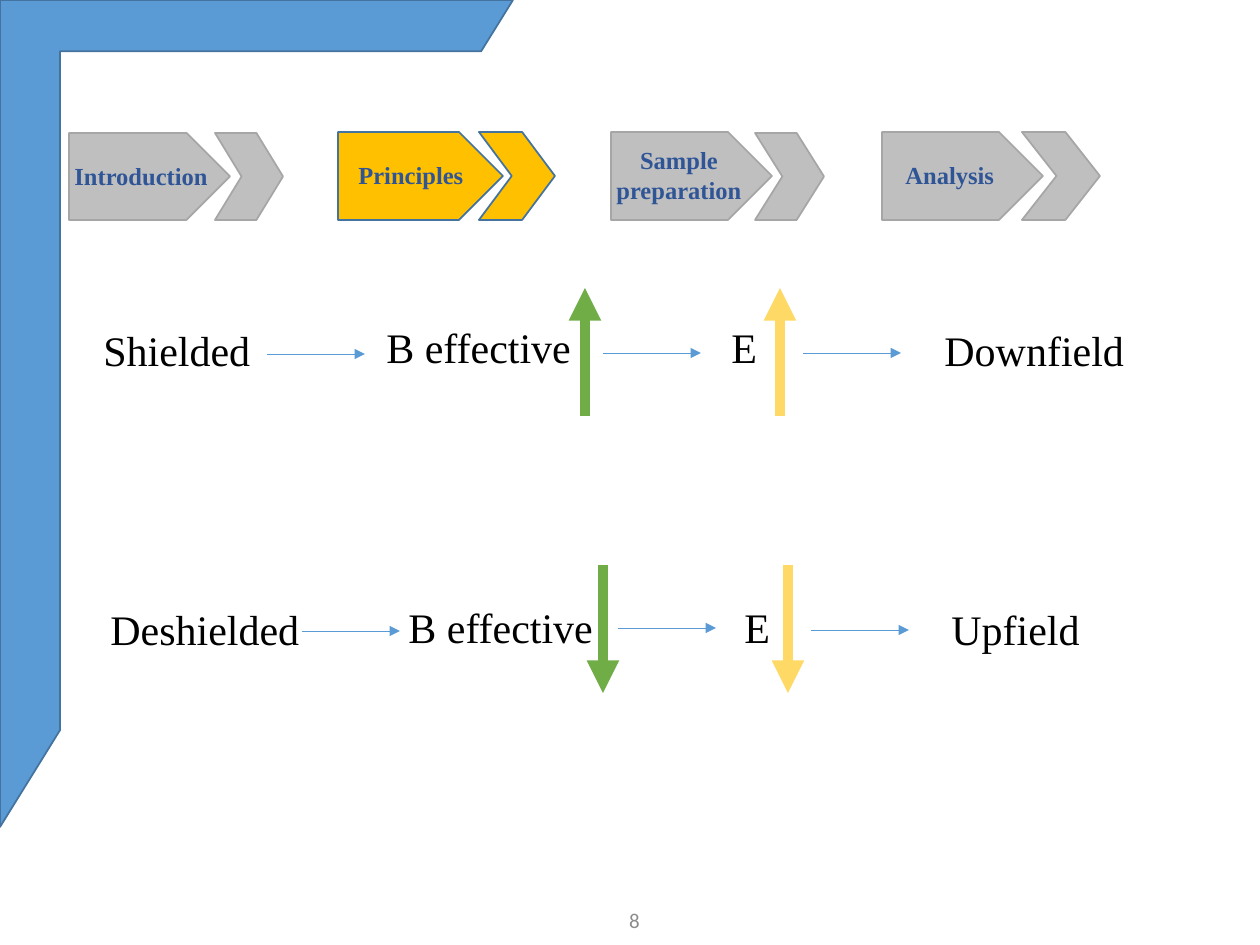
from dataclasses import dataclass

from lxml import etree
from pptx import Presentation
from pptx.dml.color import RGBColor
from pptx.enum.shapes import MSO_CONNECTOR, MSO_SHAPE
from pptx.enum.text import MSO_ANCHOR, MSO_AUTO_SIZE, PP_ALIGN
from pptx.oxml.ns import qn
from pptx.util import Emu, Pt

EMU_PER_PX = 914400 / 126
SERIF = "Times New Roman"
STRAIGHT = MSO_CONNECTOR.STRAIGHT
HALF_FRAME, PLATE, CHEVRON = MSO_SHAPE.HALF_FRAME, MSO_SHAPE.PENTAGON, MSO_SHAPE.CHEVRON
LEFT, CENTER = PP_ALIGN.LEFT, PP_ALIGN.CENTER
TOP, MIDDLE = MSO_ANCHOR.TOP, MSO_ANCHOR.MIDDLE
GROW = MSO_AUTO_SIZE.SHAPE_TO_FIT_TEXT

COLORS = {
    "blue": "5B9BD5",
    "blue_edge": "43739E",
    "grey": "BFBFBF",
    "grey_edge": "A6A6A6",
    "gold": "FFC000",
    "green": "70AD47",
    "yellow": "FFD966",
    "label": "2F5597",
    "number": "8C8C8C",
    "black": "000000",
}


@dataclass
class Box:
    x: int
    y: int
    w: int
    h: int


@dataclass
class Step:
    text: str
    plate: Box
    chevron: Box
    label: Box
    align: PP_ALIGN = LEFT
    fill: str = "grey"
    edge: str = "grey_edge"


@dataclass
class Term:
    text: str
    x: int
    dy: int
    w: int


@dataclass
class Flow:
    y: int
    terms: list[Term]
    links: list[tuple[int, int]]
    trends: list[tuple[int, str]]
    trend_from: int
    trend_to: int


STEPS = [
    Step("Introduction", Box(69, 133, 161, 87), Box(215, 133, 68, 87), Box(62, 155, 160, 43)),
    Step("Principles", Box(338, 132, 165, 88), Box(479, 132, 76, 88), Box(341, 154, 140, 43),
         CENTER, "gold", "blue_edge"),
    Step("Sample preparation", Box(611, 132, 161, 88), Box(755, 133, 69, 87),
         Box(603, 139, 152, 71), CENTER),
    Step("Analysis", Box(882, 132, 161, 88), Box(1022, 132, 78, 88), Box(893, 154, 145, 43)),
]

FLOWS = [
    Flow(315,
         [Term("Shielded", 91, 3, 238), Term("B effective", 374, 0, 268),
          Term("E", 719, 0, 155), Term("Downfield", 932, 3, 290)],
         [(267, 354), (603, 353), (803, 353)],
         [(585, "green"), (780, "yellow")], 416, 288),
    Flow(595,
         [Term("Deshielded", 98, 2, 238), Term("B effective", 396, 0, 268),
          Term("E", 732, 0, 155), Term("Upfield", 939, 2, 290)],
         [(302, 631), (618, 628), (811, 630)],
         [(603, "green"), (788, "yellow")], 565, 693),
]
LINK_LENGTH = 98
TERM_HEIGHT = 63


def px(n: int) -> Emu:
    return Emu(round(n * EMU_PER_PX))


def rgb(name: str) -> RGBColor:
    return RGBColor.from_string(COLORS[name])


def place(box: Box) -> tuple[Emu, ...]:
    return px(box.x), px(box.y), px(box.w), px(box.h)


def add_block(s, kind, box: Box, fill: str, edge: str, adjustments: list[float]) -> None:
    sp = s.shapes.add_shape(kind, *place(box))
    for i, value in enumerate(adjustments):
        sp.adjustments[i] = value
    sp.shadow.inherit = False
    sp.fill.solid()
    sp.fill.fore_color.rgb = rgb(fill)
    sp.line.color.rgb = rgb(edge)
    sp.line.width = Pt(1)


def add_text(s, text: str, box: Box, size: int, color: str, font: str = SERIF,
             bold: bool = False, align=LEFT, anchor=TOP) -> None:
    tf = s.shapes.add_textbox(*place(box)).text_frame
    tf.word_wrap = True
    tf.vertical_anchor = anchor
    if anchor == TOP:
        tf.auto_size = GROW
    p = tf.paragraphs[0]
    p.alignment = align
    r = p.add_run()
    r.text = text
    r.font.name = font
    r.font.size = Pt(size)
    r.font.bold = bold
    r.font.color.rgb = rgb(color)


def add_arrow(s, x1: int, y1: int, x2: int, y2: int, color: str, width: float) -> None:
    sp = s.shapes.add_connector(STRAIGHT, px(x1), px(y1), px(x2), px(y2))
    sp.line.color.rgb = rgb(color)
    sp.line.width = Pt(width)
    etree.SubElement(sp.line._get_or_add_ln(), qn("a:tailEnd"), type="triangle")
    etree.SubElement(sp._element.spPr, qn("a:effectLst"))


def add_step(s, step: Step) -> None:
    add_block(s, PLATE, step.plate, step.fill, step.edge, [0.5])
    notch = step.chevron.w / 2 / step.chevron.h
    add_block(s, CHEVRON, step.chevron, step.fill, step.edge, [notch])
    add_text(s, step.text, step.label, 14, "label", bold=True, align=step.align)


def add_flow(s, flow: Flow) -> None:
    for term in flow.terms:
        box = Box(term.x, flow.y + term.dy, term.w, TERM_HEIGHT)
        add_text(s, term.text, box, 24, "black")
    for x, y in flow.links:
        add_arrow(s, x, y, x + LINK_LENGTH, y, "blue", 0.5)
    for x, color in flow.trends:
        add_arrow(s, x, flow.trend_from, x, flow.trend_to, color, 6.25)


def main() -> None:
    prs = Presentation()
    prs.slide_width, prs.slide_height = px(1260), px(945)
    s = prs.slides.add_slide(prs.slide_layouts[6])
    add_block(s, HALF_FRAME, Box(0, 0, 513, 827), "blue", "blue_edge", [0.1, 0.117])
    add_text(s, "8", Box(493, 895, 283, 50), 12, "number", "Calibri", align=CENTER, anchor=MIDDLE)
    for flow in FLOWS:
        add_flow(s, flow)
    for step in STEPS:
        add_step(s, step)
    prs.save("out.pptx")


if __name__ == "__main__":
    main()
